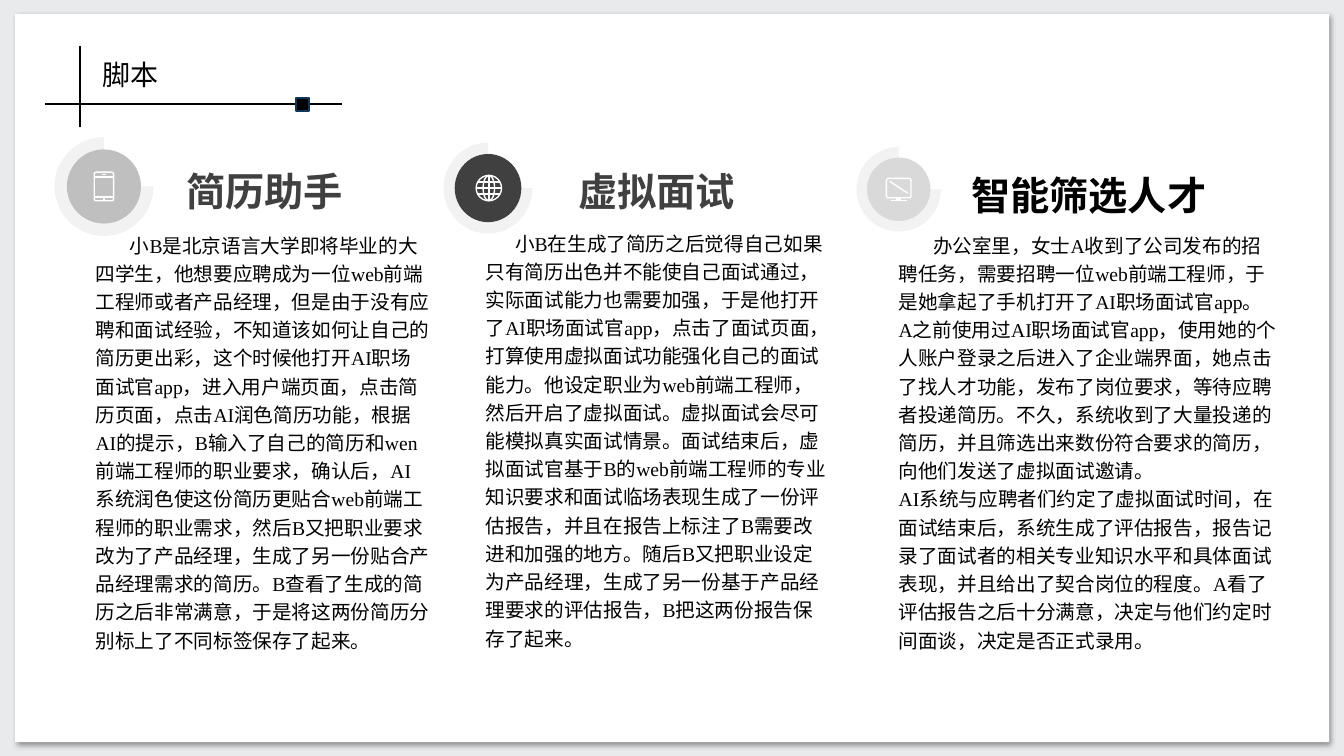
from dataclasses import dataclass

from lxml import etree
from pptx import Presentation
from pptx.dml.color import RGBColor
from pptx.enum.shapes import MSO_CONNECTOR, MSO_SHAPE
from pptx.enum.text import MSO_AUTO_SIZE
from pptx.oxml import parse_xml
from pptx.oxml.ns import qn
from pptx.util import Cm, Pt

RECTANGLE, ROUNDED = MSO_SHAPE.RECTANGLE, MSO_SHAPE.ROUNDED_RECTANGLE
ELLIPSE, PIE = MSO_SHAPE.OVAL, MSO_SHAPE.PIE
STRAIGHT = MSO_CONNECTOR.STRAIGHT
GROW = MSO_AUTO_SIZE.SHAPE_TO_FIT_TEXT
PANEL_SHADOW = (
    '<a:effectLst xmlns:a="http://schemas.openxmlformats.org/drawingml/2006/main">'
    '<a:outerShdw blurRad="50800" dist="38100" dir="2700000" algn="tl" rotWithShape="0">'
    '<a:srgbClr val="000000"><a:alpha val="40000"/></a:srgbClr>'
    '</a:outerShdw></a:effectLst>'
)


@dataclass(frozen=True)
class Theme:
    font: str = "Times New Roman"
    title_size: int = 20
    heading_size: int = 28
    body_size: int = 14
    line_spacing: float = 1.2
    rule_width: float = 1.5
    icon_width: float = 1
    background: str = "E9EAEC"
    white: str = "FFFFFF"
    black: str = "000000"
    dark: str = "404040"
    middle: str = "BFBFBF"
    light: str = "D9D9D9"
    ring: str = "F2F2F2"
    marker_line: str = "113556"


def apply_format(target, values):
    for name, value in values.items():
        setattr(target, name, value)


class SlideBuilder:
    def __init__(self, slide, theme):
        self.slide, self.theme = slide, theme
        fill = slide.background.fill
        fill.solid()
        fill.fore_color.rgb = RGBColor.from_string(theme.background)

    def set_line(self, line, color, width):
        line.color.rgb = RGBColor.from_string(color)
        line.width = Pt(width)

    def shape(self, kind, left, top, width, height, fill=None, line=None, line_width=0):
        shape = self.slide.shapes.add_shape(kind, Cm(left), Cm(top), Cm(width), Cm(height))
        shape.shadow.inherit = False
        if fill:
            shape.fill.solid()
            shape.fill.fore_color.rgb = RGBColor.from_string(fill)
        else:
            shape.fill.background()
        if line:
            self.set_line(shape.line, line, line_width)
        else:
            shape.line.fill.background()
        return shape

    def panel(self, left, top, width, height):
        properties = self.shape(RECTANGLE, left, top, width, height, self.theme.white)._element.spPr
        properties.remove(properties.find(qn("a:effectLst")))
        properties.append(parse_xml(PANEL_SHADOW))

    def line(self, left, top, width, height, color, line_width):
        connector = self.slide.shapes.add_connector(
            STRAIGHT, Cm(left), Cm(top), Cm(left + width), Cm(top + height))
        self.set_line(connector.line, color, line_width)
        etree.SubElement(connector._element.spPr, qn("a:effectLst"))

    def text(self, left, top, width, height, paragraphs, size, color,
             bold=False, spacing=1.0, indent=0):
        frame = self.slide.shapes.add_textbox(Cm(left), Cm(top), Cm(width), Cm(height)).text_frame
        apply_format(frame, {"word_wrap": True, "auto_size": GROW})
        for index, words in enumerate(paragraphs):
            paragraph = frame.add_paragraph() if index else frame.paragraphs[0]
            paragraph.line_spacing = spacing
            if indent and index == 0:
                paragraph._p.get_or_add_pPr().set("indent", str(Pt(indent)))
            run = paragraph.add_run()
            run.text = words
            apply_format(run.font, {"name": self.theme.font, "size": Pt(size), "bold": bold})
            run.font.color.rgb = RGBColor.from_string(color)

    def badge(self, center_x, center_y, width, height, color, icon):
        # The disc fills three quarters of the open ring
        for kind, scale, fill in ((PIE, 1, self.theme.ring), (ELLIPSE, 0.75, color)):
            self.shape(kind, center_x - width * scale / 2, center_y - height * scale / 2,
                       width * scale, height * scale, fill)
        for kind, x, y, part_width, part_height in icon:
            box = (center_x + x - part_width / 2, center_y + y - part_height / 2,
                   part_width, part_height)
            pen = (self.theme.white, self.theme.icon_width)
            if kind == STRAIGHT:
                self.line(*box, *pen)
            else:
                outline = self.shape(kind, *box, None, *pen)
                if kind == ROUNDED:
                    outline.adjustments[0] = 0.1


# Icon parts: kind, centre offset x and y, width, height
PHONE = [(ROUNDED, 0, 0, 0.49, 0.72)]
PHONE += [(STRAIGHT, 0, y, width, 0)
          for y, width in ((-0.24, 0.45), (0.26, 0.45), (-0.3, 0.1), (0.31, 0.05))]
GLOBE = [(ELLIPSE, 0.02, 0, width, 0.64) for width in (0.64, 0.29)]
GLOBE += [(STRAIGHT, 0.02, y, width, 0) for y, width in ((-0.15, 0.54), (0, 0.62), (0.15, 0.54))]
GLOBE += [(STRAIGHT, 0.02, 0, 0, 0.62)]
MONITOR = [(ROUNDED, 0, -0.03, 0.62, 0.49), (RECTANGLE, 0, -0.05, 0.46, 0.3),
           (STRAIGHT, 0, 0.25, 0.12, 0), (STRAIGHT, 0, 0.29, 0.4, 0)]

RESUME_TEXT = [
    "小B是北京语言大学即将毕业的大四学生，他想要应聘成为一位web前端工程师或者产品经理，"
    "但是由于没有应聘和面试经验，不知道该如何让自己的简历更出彩，这个时候他打开AI职场面试官app，"
    "进入用户端页面，点击简历页面，点击AI润色简历功能，根据AI的提示，"
    "B输入了自己的简历和wen前端工程师的职业要求，确认后，"
    "AI系统润色使这份简历更贴合web前端工程师的职业需求，然后B又把职业要求改为了产品经理，"
    "生成了另一份贴合产品经理需求的简历。B查看了生成的简历之后非常满意，"
    "于是将这两份简历分别标上了不同标签保存了起来。",
]
INTERVIEW_TEXT = [
    "小B在生成了简历之后觉得自己如果只有简历出色并不能使自己面试通过，实际面试能力也需要加强，"
    "于是他打开了AI职场面试官app，点击了面试页面，打算使用虚拟面试功能强化自己的面试能力。"
    "他设定职业为web前端工程师，然后开启了虚拟面试。虚拟面试会尽可能模拟真实面试情景。"
    "面试结束后，虚拟面试官基于B的web前端工程师的专业知识要求和面试临场表现生成了一份评估报告，"
    "并且在报告上标注了B需要改进和加强的地方。随后B又把职业设定为产品经理，"
    "生成了另一份基于产品经理要求的评估报告，B把这两份报告保存了起来。",
]
SCREENING_TEXT = [
    "办公室里，女士A收到了公司发布的招聘任务，需要招聘一位web前端工程师，"
    "于是她拿起了手机打开了AI职场面试官app。",
    "A之前使用过AI职场面试官app，使用她的个人账户登录之后进入了企业端界面，"
    "她点击了找人才功能，发布了岗位要求，等待应聘者投递简历。不久，系统收到了大量投递的简历，"
    "并且筛选出来数份符合要求的简历，向他们发送了虚拟面试邀请。",
    "AI系统与应聘者们约定了虚拟面试时间，在面试结束后，系统生成了评估报告，"
    "报告记录了面试者的相关专业知识水平和具体面试表现，并且给出了契合岗位的程度。"
    "A看了评估报告之后十分满意，决定与他们约定时间面谈，决定是否正式录用。",
]


def main():
    theme = Theme()
    presentation = Presentation()
    apply_format(presentation, {"slide_width": Cm(33.87), "slide_height": Cm(19.05)})
    builder = SlideBuilder(presentation.slides.add_slide(presentation.slide_layouts[6]), theme)

    # Panel and title with crossed rules
    builder.panel(0.38, 0.36, 33.12, 18.34)
    builder.line(1.14, 2.62, 7.47, 0, theme.black, theme.rule_width)
    builder.line(2.01, 1.17, 0, 2.03, theme.black, theme.rule_width)
    builder.text(2.34, 1.32, 5.77, 1.17, ["脚本"], theme.title_size, theme.black)
    builder.shape(RECTANGLE, 7.47, 2.46, 0.33, 0.33, theme.black,
                  theme.marker_line, theme.rule_width)

    # Columns: badge, heading box and colour, body box and first-line indent
    columns = [
        ((2.62, 4.7, 2.49, 2.49, theme.middle, PHONE),
         "简历助手", (4.45, 3.86, 4.72, 1.68), theme.dark,
         RESUME_TEXT, (2.16, 5.64, 8.92, 10.92), 24.5),
        ((12.3, 4.74, 2.24, 2.29, theme.dark, GLOBE),
         "虚拟面试", (14.33, 3.86, 5.23, 1.68), theme.dark,
         INTERVIEW_TEXT, (11.99, 5.59, 9.09, 10.92), 21),
        ((22.65, 4.77, 2.13, 2.13, theme.light, MONITOR),
         "智能筛选人才", (24.23, 3.96, 6.73, 1.68), theme.black,
         SCREENING_TEXT, (22.4, 5.64, 10.06, 10.92), 24.5),
    ]
    for badge, heading, heading_box, heading_color, body, body_box, indent in columns:
        builder.text(*body_box, body, theme.body_size, theme.black,
                     spacing=theme.line_spacing, indent=indent)
        builder.text(*heading_box, [heading], theme.heading_size, heading_color,
                     bold=True, spacing=theme.line_spacing)
        builder.badge(*badge)

    presentation.save("out.pptx")


if __name__ == "__main__":
    main()
